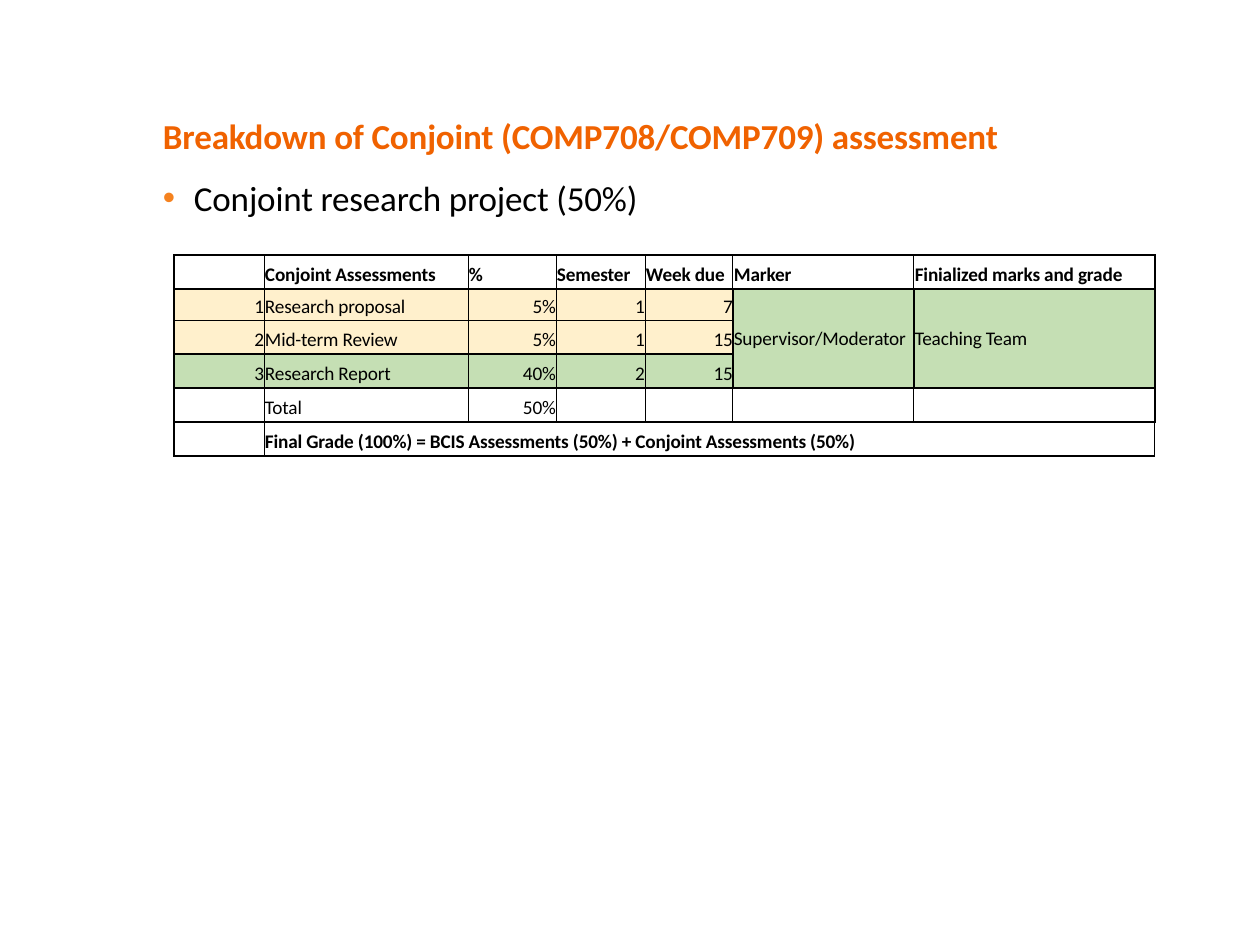
"""Build the slide on the breakdown of the Conjoint assessment."""
from lxml import etree
from pptx import Presentation
from pptx import util as u
from pptx.dml import color
from pptx.enum import text
from pptx.oxml import ns

PX = 914400 // 126
CREAM, GREEN = "FFF0CC", "C5DFB4"
COLS = [90, 204, 88, 89, 88, 181, 241]
ROWS = [34, 31, 34, 34, 34, 34]
HEAD = ["", "Conjoint Assessments", "%", "Semester", "Week due", "Marker",
        "Finialized marks and grade"]
DATA = [
    HEAD,
    ["1", "Research proposal", "5%", "1", "7", "Supervisor/Moderator", "Teaching Team"],
    ["2", "Mid-term Review", "5%", "1", "15", "", ""],
    ["3", "Research Report", "40%", "2", "15", "", ""],
    ["", "Total", "50%", "", "", "", ""],
    ["", "Final Grade (100%) = BCIS Assessments (50%) + Conjoint Assessments (50%)",
     "", "", "", "", ""],
]
SPANS = [(1, 5, 3, 5), (1, 6, 3, 6), (5, 1, 5, 6)]


def px(n):
    return u.Emu(n * PX)


def rgb(code):
    return color.RGBColor.from_string(code)


def put(obj, **vals):
    for key, val in vals.items():
        setattr(obj, key, val)


def sub(node, tag, **vals):
    return etree.SubElement(node, ns.qn(tag), **vals)


def edges(row, col):
    """Give the line width in EMU for each side of a cell."""
    def side(x):
        return x in (0, len(COLS)) or (row in (1, 2, 3) and x >= 5)

    def level(y):
        return y != 2 or col >= 5

    heavy = {"L": side(col), "R": side(col + 1), "T": level(row), "B": level(row + 1)}
    return {key: 12700 if on else 6350 for key, on in heavy.items()}


def tint(row, col):
    """Give the fill of a cell, or None where it is clear."""
    if row not in (1, 2, 3):
        return None
    return GREEN if row == 3 or col >= 5 else CREAM


class Deck:
    """Hold the style and the current slide."""

    def __init__(self, wide, high):
        self.prs = Presentation()
        put(self.prs, slide_width=px(wide), slide_height=px(high))
        self.slide = self.prs.slides.add_slide(self.prs.slide_layouts[5])
        self.font = "Calibri"

    def label(self, para, words, size, ink="000000", bold=False, right=False):
        """Fill one paragraph with styled text."""
        para.alignment = text.PP_ALIGN.RIGHT if right else text.PP_ALIGN.LEFT
        if not words:
            sub(para._p, "a:endParaRPr", sz=str(size * 100))
            return
        run = para.add_run()
        run.text = words
        put(run.font, name=self.font, size=u.Pt(size), bold=bold)
        run.font.color.rgb = rgb(ink)
        run._r.get_or_add_rPr().set("spc", "-10")

    def frame(self, shape, top=0, left=0):
        """Strip the margins of a text shape and return its first paragraph."""
        frame = shape.text_frame
        put(frame, margin_left=px(left), margin_right=0, margin_top=px(top),
            margin_bottom=0, word_wrap=True, auto_size=text.MSO_AUTO_SIZE.NONE,
            vertical_anchor=text.MSO_ANCHOR.TOP)
        return frame.paragraphs[0]

    def title(self, words, x, y, w, h):
        """Place the slide title."""
        shape = self.slide.shapes.title
        put(shape, left=px(x), top=px(y), width=px(w), height=px(h))
        self.label(self.frame(shape, top=21, left=2), words, 20, "F06200", True)

    def bullet(self, words, x, y, w, h):
        """Place one bulleted line."""
        box = self.slide.shapes.add_textbox(px(x), px(y), px(w), px(h))
        para = self.frame(box)
        props = para._p.get_or_add_pPr()
        for key, val in {"marL": 33, "indent": -31}.items():
            props.set(key, str(int(px(val))))
        sub(sub(props, "a:buClr"), "a:srgbClr", val="F5821F")
        sub(props, "a:buFont", typeface="Arial")
        sub(props, "a:buChar", char="•")
        self.label(para, words, 20)

    def cell(self, cell, row, col, words):
        """Style one table cell."""
        tall = row == 1 and col >= 5
        right = row > 0 and col in (0, 2, 3, 4)
        put(cell, margin_left=0 if right else px(1), margin_right=0, margin_bottom=0,
            margin_top=0 if tall else px(6 if row == 1 else 8),
            vertical_anchor=text.MSO_ANCHOR.MIDDLE if tall else text.MSO_ANCHOR.TOP)
        props = cell._tc.get_or_add_tcPr()
        for key, width in edges(row, col).items():
            line = sub(props, "a:ln" + key, w=str(width))
            sub(sub(line, "a:solidFill"), "a:srgbClr", val="000000")
        shade = tint(row, col)
        if shade:
            cell.fill.solid()
            cell.fill.fore_color.rgb = rgb(shade)
        else:
            cell.fill.background()
        self.label(cell.text_frame.paragraphs[0], words, 11,
                   bold=row in (0, 5), right=right)

    def table(self, data, x, y):
        """Place the table of assessments."""
        grid = self.slide.shapes.add_table(
            len(ROWS), len(COLS), px(x), px(y), px(sum(COLS)), px(sum(ROWS))).table
        put(grid, first_row=False, horz_banding=False)
        for col, wide in zip(grid.columns, COLS):
            col.width = px(wide)
        for row, high in zip(grid.rows, ROWS):
            row.height = px(high)
        for r, line in enumerate(data):
            for c, words in enumerate(line):
                self.cell(grid.cell(r, c), r, c, words)
        for top, left, low, end in SPANS:
            grid.cell(top, left).merge(grid.cell(low, end))


def main():
    deck = Deck(1260, 945)
    deck.title("Breakdown of Conjoint (COMP708/COMP709) assessment", 161, 93, 850, 67)
    deck.bullet("Conjoint research project (50%)", 161, 176, 842, 43)
    deck.table(DATA, 174, 255)
    deck.prs.save("out.pptx")


if __name__ == "__main__":
    main()
